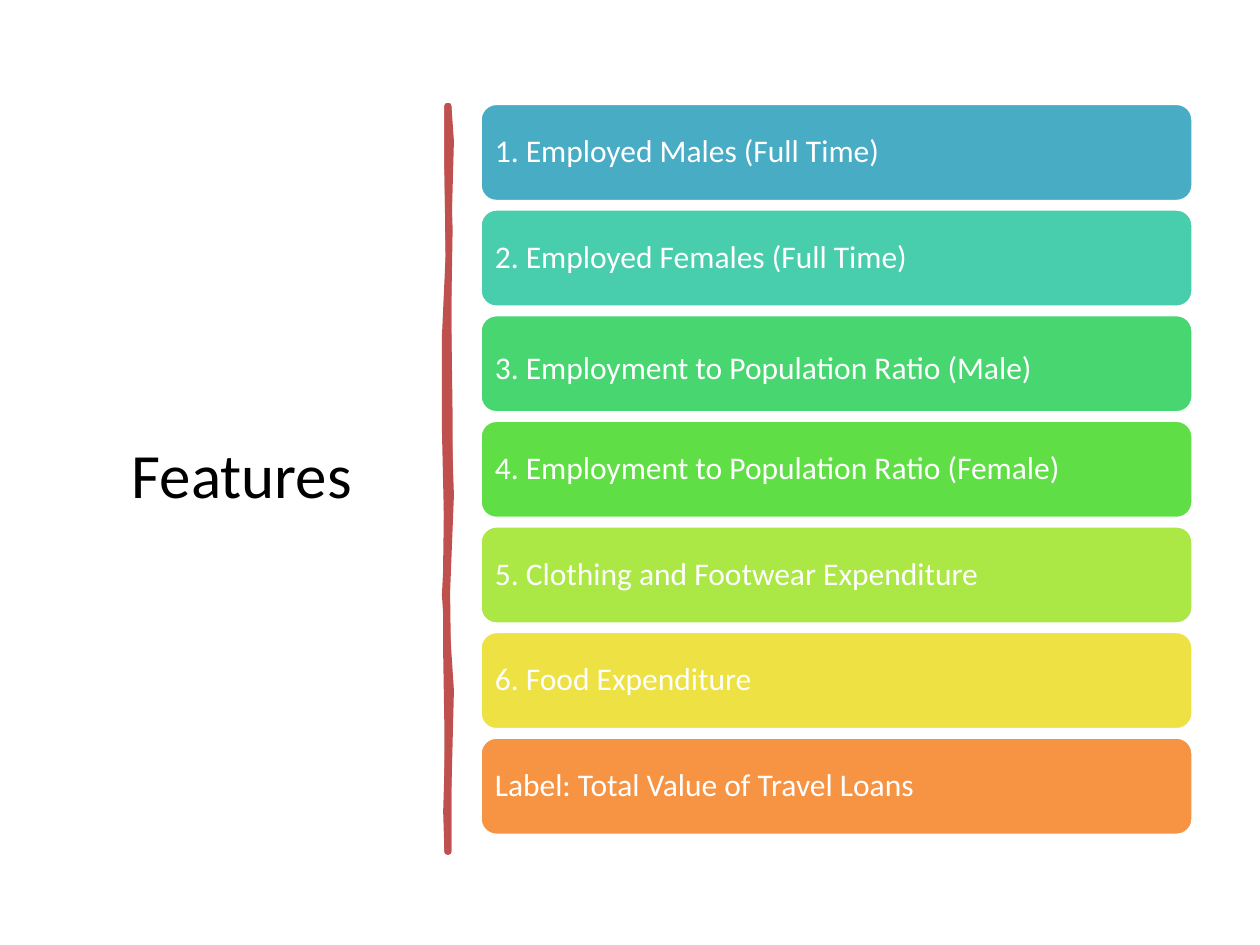
from dataclasses import dataclass

import pptx
import pptx.dml.color
import pptx.enum.shapes
import pptx.enum.text
import pptx.util

Inches = pptx.util.Inches
Align = pptx.enum.text.PP_ALIGN
FONT = "Calibri"
BAR_LEFT, BAR_WIDTH, BAR_HEIGHT = 3.81, 5.66, 0.78
FIRST_TOP, LAST_TOP = 0.82, 5.85


@dataclass(frozen=True)
class Feature:
    label: str
    fill: str
    line_spacing: float = 0.9


FEATURES = [
    Feature("1. Employed Males (Full Time)", "49ACC5"),
    Feature("2. Employed Females (Full Time)", "48CDAD"),
    Feature("3. Employment to Population Ratio (Male)", "47D670", 1.15),
    Feature("4. Employment to Population Ratio (Female)", "5FDF45"),
    Feature("5. Clothing and Footwear Expenditure", "ABE745"),
    Feature("6. Food Expenditure", "EEE144"),
    Feature("Label: Total Value of Travel Loans", "F69444"),
]

BRUSH_OUTLINES = [
    [
        (3.56, 0.84), (3.58, 1.12), (3.56, 1.85), (3.56, 2.59), (3.57, 3.31),
        (3.57, 3.93), (3.53, 4.72), (3.58, 5.48), (3.56, 6.28), (3.56, 6.76),
        (3.55, 6.76), (3.55, 6.29), (3.55, 5.78), (3.54, 5.18), (3.54, 4.46),
        (3.55, 3.77), (3.55, 2.92), (3.56, 2.11), (3.55, 1.33), (3.55, 0.84),
    ],
    [
        (3.56, 0.84), (3.55, 1.2), (3.57, 1.82), (3.56, 2.4), (3.56, 3.34),
        (3.58, 3.93), (3.55, 4.7), (3.56, 5.5), (3.56, 6.27), (3.56, 6.76),
        (3.55, 6.76), (3.54, 6.44), (3.56, 5.78), (3.55, 5.06), (3.55, 4.28),
        (3.53, 3.41), (3.53, 2.67), (3.56, 2.01), (3.55, 1.29), (3.55, 0.84),
    ],
]


def colour(code: str) -> pptx.dml.color.RGBColor:
    return pptx.dml.color.RGBColor.from_string(code)


def paint(shape, *, fill: str, line: str, width: float) -> None:
    shape.shadow.inherit = False
    shape.fill.solid()
    shape.fill.fore_color.rgb = colour(fill)
    shape.line.color.rgb = colour(line)
    shape.line.width = pptx.util.Pt(width)


def write(shape, text: str, *, size: float, color: str, align=Align.LEFT,
          line_spacing: float = 1.0, inset: tuple[float, float] = (0.1, 0.05)) -> None:
    frame = shape.text_frame
    frame.word_wrap = True
    frame.vertical_anchor = pptx.enum.text.MSO_ANCHOR.MIDDLE
    frame.margin_left = frame.margin_right = Inches(inset[0])
    frame.margin_top = frame.margin_bottom = Inches(inset[1])
    para = frame.paragraphs[0]
    para.alignment = align
    para.line_spacing = line_spacing
    span = para.add_run()
    span.text = text
    span.font.name = FONT
    span.font.size = pptx.util.Pt(size)
    span.font.color.rgb = colour(color)


def draw_brush_line(page, outlines: list[list[tuple[float, float]]]) -> None:
    first, *others = [[(Inches(x), Inches(y)) for x, y in outline] for outline in outlines]
    builder = page.shapes.build_freeform(*first[0])
    builder.add_line_segments(first[1:], close=True)
    for points in others:
        builder.move_to(*points[0])
        builder.add_line_segments(points[1:], close=True)
    paint(builder.convert_to_shape(), fill="C0504D", line="C0504D", width=3.25)


def draw_feature(page, feature: Feature, top: float) -> None:
    bar = page.shapes.add_shape(
        pptx.enum.shapes.MSO_SHAPE.ROUNDED_RECTANGLE,
        Inches(BAR_LEFT), Inches(top), Inches(BAR_WIDTH), Inches(BAR_HEIGHT),
    )
    paint(bar, fill=feature.fill, line="FFFFFF", width=2)
    write(bar, feature.label, size=18, color="FFFFFF",
          line_spacing=feature.line_spacing, inset=(0.08, 0.07))


def main() -> None:
    deck = pptx.Presentation()
    deck.slide_width, deck.slide_height = Inches(10), Inches(7.5)
    page = deck.slides.add_slide(deck.slide_layouts[6])
    title = page.shapes.add_textbox(Inches(0.52), Inches(0.7), Inches(2.8), Inches(6.11))
    write(title, "Features", size=36, color="000000", align=Align.CENTER)
    draw_brush_line(page, BRUSH_OUTLINES)
    pitch = (LAST_TOP - FIRST_TOP) / (len(FEATURES) - 1)
    for index, feature in enumerate(FEATURES):
        draw_feature(page, feature, FIRST_TOP + index * pitch)
    deck.save("out.pptx")


if __name__ == "__main__":
    main()
